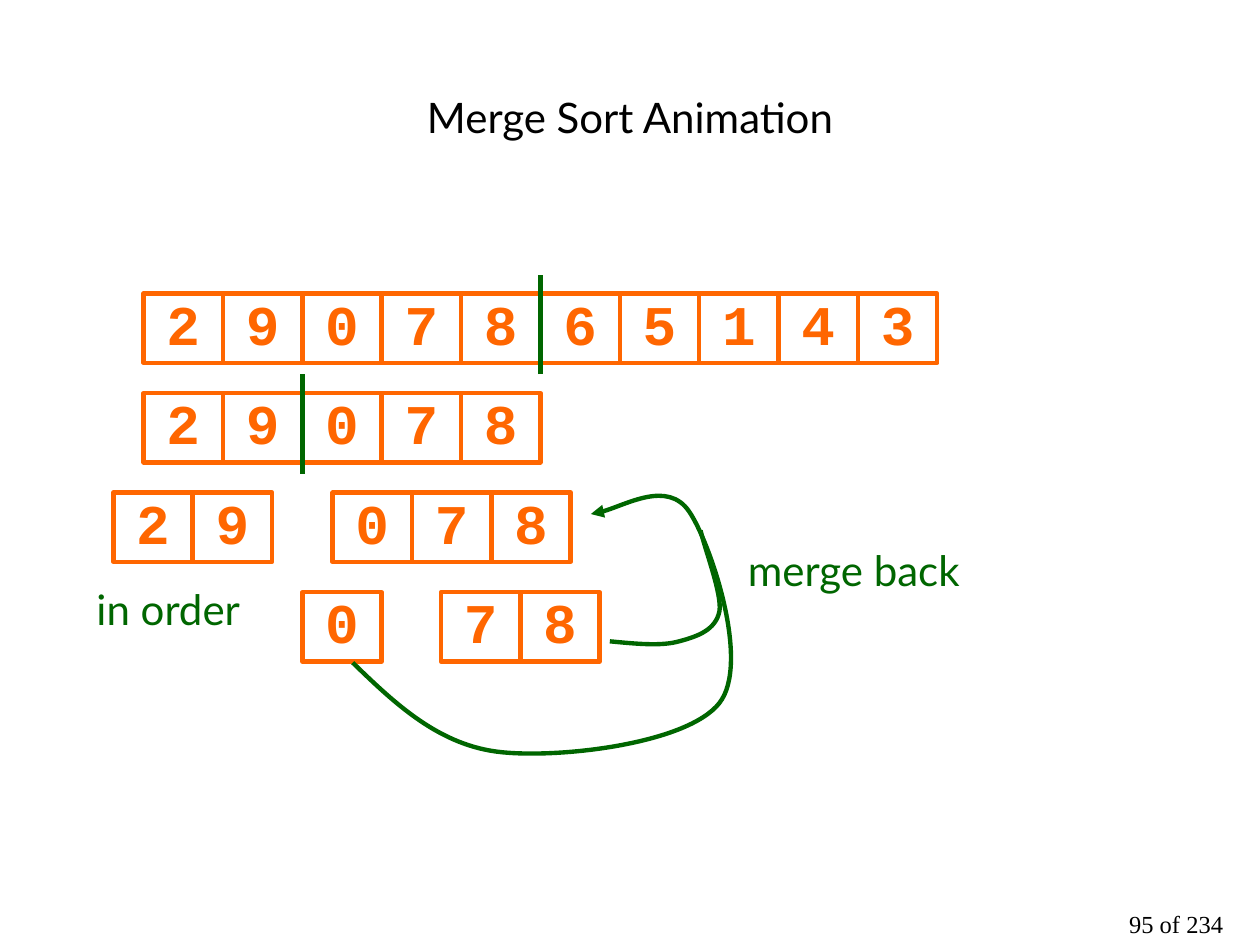
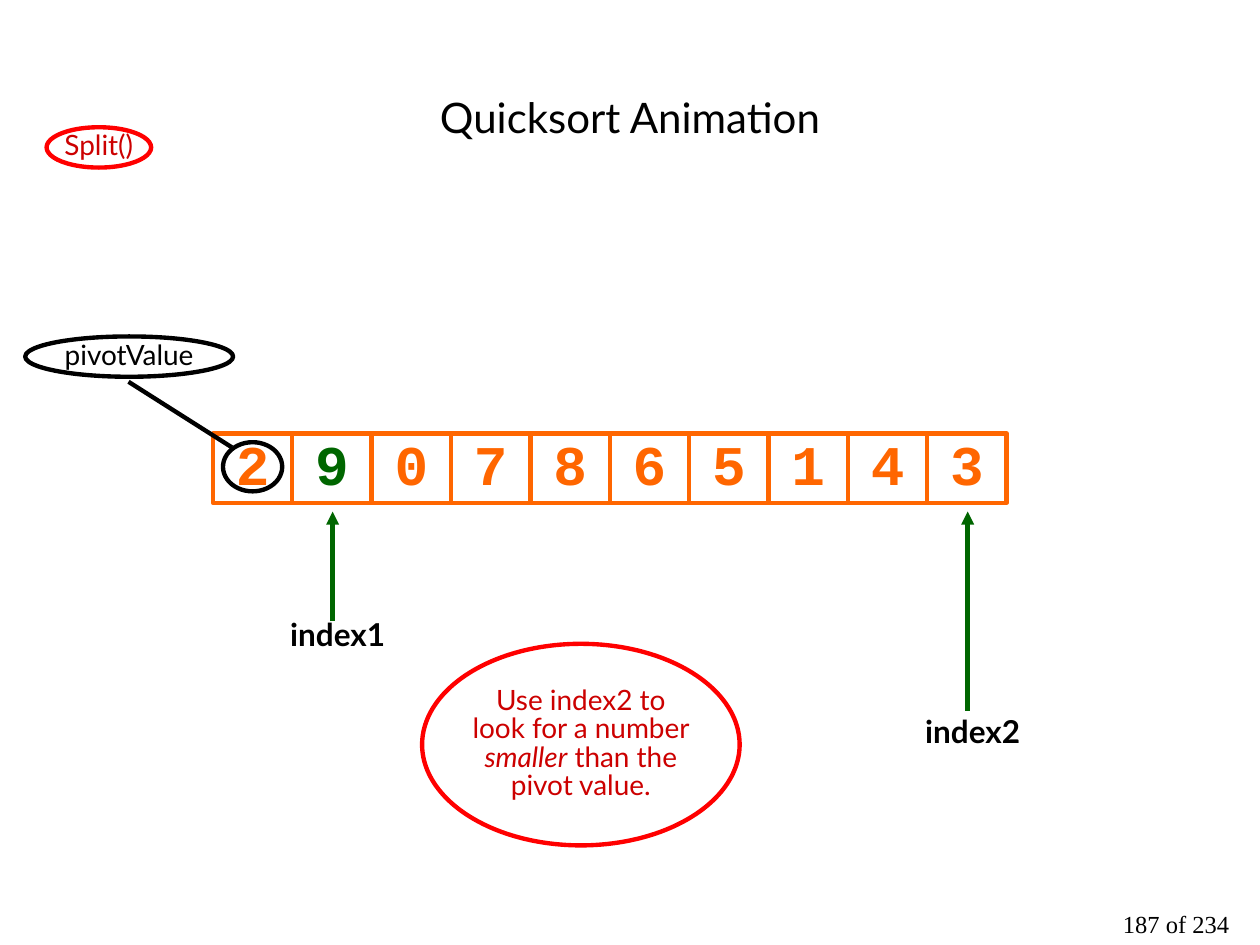
from lxml.etree import SubElement
from pptx import Presentation
from pptx.dml.color import RGBColor
from pptx.enum.shapes import MSO_CONNECTOR, MSO_SHAPE as SHAPE
from pptx.enum.text import MSO_ANCHOR as ANCHOR, PP_ALIGN as ALIGN
from pptx.oxml.ns import qn
from pptx.util import Inches, Pt

# Shared style: the slide is a grid of 100 columns by 75 rows
COLS, ROWS = 100, 75
ORANGE, GREEN, RED, DARK_RED, BLACK = "FF6600", "006600", "FF0000", "CC0000", "000000"
SANS, MONO, SERIF = "Lato", "Courier New", "Times New Roman"
CELL_W, CELL_H = 6.3, 5.5
LINE_W = Pt(2.5)
PAGES = 234


def rgb(hex_color):
    return RGBColor.from_string(hex_color)


class Deck:
    def __init__(self):
        self.prs = Presentation()
        self.prs.slide_width, self.prs.slide_height = Inches(10), Inches(7.5)
        self.s = None

    def x(self, col):
        return round(self.prs.slide_width * col / COLS)

    def y(self, row):
        return round(self.prs.slide_height * row / ROWS)

    def box(self, col, row, w, h):
        return self.x(col), self.y(row), self.x(w), self.y(h)

    def slide(self, title, page):
        self.s = self.prs.slides.add_slide(self.prs.slide_layouts[5])
        sp = self.s.shapes.title
        sp.left, sp.top, sp.width, sp.height = self.box(5, 3, 90, 12.5)
        self.fill_text(sp.text_frame, title, 24, spacing=1)
        self.text(86.2, 72.2, 13.8, 2.8, f" {page} of {PAGES}", 14,
                  font=SERIF, spacing=0.75, inset=(0.1, 0.05))

    def fill_text(self, tf, runs, size, color=BLACK, font=SANS, bold=False,
                  spacing=0.85, inset=(0, 0), anchor=ANCHOR.MIDDLE, wrap=True):
        """Fill one centred paragraph; runs is a string or (text, italic) pairs."""
        tf.word_wrap, tf.vertical_anchor = wrap, anchor
        tf.margin_left = tf.margin_right = Inches(inset[0])
        tf.margin_top = tf.margin_bottom = Inches(inset[1])
        p = tf.paragraphs[0]
        p.alignment, p.line_spacing = ALIGN.CENTER, spacing
        for text, italic in [(runs, False)] if isinstance(runs, str) else runs:
            r = p.add_run()
            r.text = text
            f = r.font
            f.name, f.size, f.bold, f.italic = font, Pt(size), bold, italic
            f.color.rgb = rgb(color)

    def text(self, col, row, w, h, runs, size, **style):
        tb = self.s.shapes.add_textbox(*self.box(col, row, w, h))
        self.fill_text(tb.text_frame, runs, size, anchor=ANCHOR.TOP, **style)

    def outline(self, sp, color, arrow=False):
        sp.shadow.inherit = False
        sp.fill.background()
        self.stroke(sp, color, arrow)

    def stroke(self, sp, color, arrow=False):
        sp.line.color.rgb, sp.line.width = rgb(color), LINE_W
        if arrow:
            ln = sp._element.spPr.find(qn("a:ln"))
            SubElement(ln, qn("a:tailEnd"), type="triangle")

    def shape(self, kind, col, row, w, h, line, runs=None, size=16, **style):
        sp = self.s.shapes.add_shape(kind, *self.box(col, row, w, h))
        self.outline(sp, line)
        if runs:
            self.fill_text(sp.text_frame, runs, size, **style)

    def array(self, col, row, digits, marked=None):
        for i, digit in enumerate(digits):
            self.shape(SHAPE.RECTANGLE, col + i * CELL_W, row, CELL_W, CELL_H, ORANGE,
                       digit, 32, color=GREEN if i == marked else ORANGE,
                       font=MONO, bold=True)

    def line(self, start, end, color=GREEN, arrow=False):
        cx = self.s.shapes.add_connector(
            MSO_CONNECTOR.STRAIGHT, self.x(start[0]), self.y(start[1]),
            self.x(end[0]), self.y(end[1]))
        self.stroke(cx, color, arrow)
        SubElement(cx._element.spPr, qn("a:effectLst"))

    def curve(self, points, color=GREEN, arrow=False):
        """Cubic curve: a start point, then two controls and an end per piece."""
        points = [(self.x(col), self.y(row)) for col, row in points]
        fb = self.s.shapes.build_freeform(*points[0])
        fb.add_line_segments(points[1:], close=False)
        sp = fb.convert_to_shape()
        track = sp._element.spPr.find(".//" + qn("a:path"))
        for i, ln in enumerate(track.findall(qn("a:lnTo"))):
            if i % 3 == 0:
                bezier = SubElement(track, qn("a:cubicBezTo"))
            bezier.append(ln[0])
            track.remove(ln)
        self.outline(sp, color, arrow)


def merge_sort(d):
    d.slide("Merge Sort Animation", 95)
    # Arrays, one level of splitting per row
    top, step, left = 23.3, 7.9, 11.4
    levels = [[(left, "2907865143")],
              [(left, "29078")],
              [(9, "29"), (26.4, "078")],
              [(24, "0"), (35, "78")]]
    for level, arrays in enumerate(levels):
        for col, digits in arrays:
            d.array(col, top + level * step, digits)
    # Split marks
    for level, count in enumerate((5, 2)):
        col, row = left + count * CELL_W, top - 1.5 + level * step
        d.line((col, row + step), (col, row))
    # Merge arrows and labels
    d.curve([(28, 52.6), (31.4, 55.9), (34.9, 59.2), (39.8, 59.7),
             (44.6, 60.2), (54.6, 59), (57.1, 55.8),
             (59.6, 52.6), (56.4, 43.1), (54.7, 40.6),
             (53, 38.1), (48.5, 40.7), (46.9, 40.8)], arrow=True)
    d.curve([(48.4, 50.9), (50.5, 51.1), (52.5, 51.3), (53.9, 50.9),
             (55.4, 50.5), (56.8, 50), (57.1, 48.5),
             (57.3, 47.1), (55.9, 43.5), (55.6, 42.1)])
    d.text(4.3, 46.9, 18.1, 3.4, "in order", 24, color=GREEN)
    d.text(58.7, 43.8, 18.1, 6.8, "merge back", 24, color=GREEN)


def quicksort(d):
    d.slide("Quicksort Animation", 187)
    d.array(16.9, 34.4, "2907865143", marked=1)
    # Index pointers
    for name, col, tail, label_row in (("index1", 26.4, 49.3, 49.3),
                                       ("index2", 76.8, 56.4, 57)):
        d.line((col, tail), (col, 40.6), arrow=True)
        d.text(col - 7.1, label_row, 15, 2.6, name, 18, bold=True)
    # Pivot marker
    d.shape(SHAPE.OVAL, 17.7, 35.1, 4.7, 3.9, BLACK)
    d.shape(SHAPE.OVAL, 2, 26.7, 16.5, 3.2, BLACK, "pivotValue")
    d.line((10.2, 30.3), (18.4, 35.5), BLACK)
    # Current step
    d.shape(SHAPE.OVAL, 33.5, 51.1, 25.2, 16, RED,
            [("Use index2 to look for a number ", False), ("smaller", True),
             (" than the pivot value.", False)], color=DARK_RED)
    d.shape(SHAPE.OVAL, 3.7, 10.1, 8.3, 3.2, RED, "Split()",
            color=DARK_RED, wrap=False)


def main():
    d = Deck()
    merge_sort(d)
    quicksort(d)
    d.prs.save("out.pptx")


if __name__ == "__main__":
    main()
